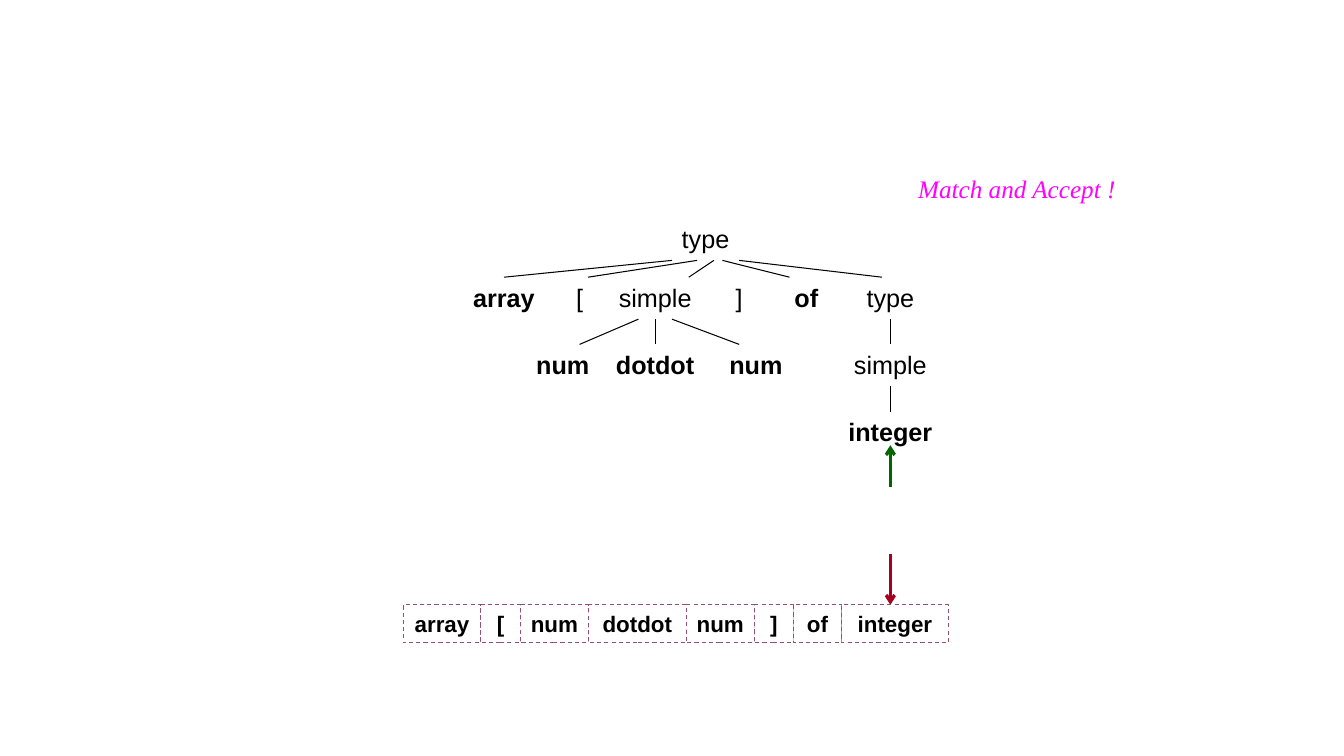
from dataclasses import dataclass
from itertools import accumulate

from lxml.etree import SubElement
from pptx import Presentation
from pptx.dml.color import RGBColor
from pptx.enum.dml import MSO_LINE_DASH_STYLE as Dash
from pptx.enum.shapes import MSO_CONNECTOR as Connector
from pptx.enum.shapes import MSO_SHAPE as Preset
from pptx.enum.text import MSO_ANCHOR as Anchor
from pptx.enum.text import MSO_AUTO_SIZE as AutoSize
from pptx.enum.text import PP_ALIGN as Align
from pptx.oxml.ns import qn
from pptx.shapes.connector import Connector as Line
from pptx.text.text import TextFrame
from pptx.util import Inches, Pt

BLACK = RGBColor(0x00, 0x00, 0x00)
WHITE = RGBColor(0xFF, 0xFF, 0xFF)
PLUM = RGBColor(0x95, 0x4F, 0x72)
CRIMSON = RGBColor(0xA5, 0x00, 0x21)
GREEN = RGBColor(0x00, 0x66, 0x00)
MAGENTA = RGBColor(0xFF, 0x00, 0xFF)

COLUMNS, ROWS = 160, 90
SLIDE_HEIGHT = Inches(7.5)
UNIT = SLIDE_HEIGHT / ROWS
TEXT_ROWS = 4.8
TOKEN_COLUMN, TOKEN_ROW, TOKEN_ROWS = 48, 72, 4.55
POINTER_COLUMN = 106


@dataclass(frozen=True)
class Style:
    size: int = 18
    font: str = "Arial"
    color: RGBColor = BLACK
    bold: bool = False
    italic: bool = False
    align: Align = Align.CENTER


@dataclass(frozen=True)
class Node:
    word: str
    center: float
    row: float
    terminal: bool = False
    width: float = 12


@dataclass(frozen=True)
class Branch:
    parent: float
    child: float
    top: float
    bottom: float


@dataclass(frozen=True)
class Token:
    word: str
    width: float


@dataclass(frozen=True)
class Pointer:
    start: float
    end: float
    color: RGBColor


NODES = [
    Node("type", 84, 26),
    Node("array", 60, 33, True),
    Node("[", 69, 33),
    Node("simple", 78, 33),
    Node("]", 88, 33),
    Node("of", 96, 33, True),
    Node("type", 106, 33),
    Node("num", 67, 41, True),
    Node("dotdot", 78, 41, True),
    Node("num", 90, 41, True),
    Node("simple", 106, 41),
    Node("integer", 106, 49, True, 14),
]
BRANCHES = [
    Branch(80, 60, 31, 33),
    Branch(83, 70, 31, 33),
    Branch(85, 82, 31, 33),
    Branch(86, 94, 31, 33),
    Branch(88, 105, 31, 33),
    Branch(76, 69, 38, 41),
    Branch(78, 78, 38, 41),
    Branch(80, 88, 38, 41),
    Branch(106, 106, 38, 41),
    Branch(106, 106, 46, 49),
]
TOKENS = [
    Token("array", 9.25),
    Token("[", 4.7),
    Token("num", 8.1),
    Token("dotdot", 11.65),
    Token("num", 8.1),
    Token("]", 4.65),
    Token("of", 5.75),
    Token("integer", 12.7),
]
INPUT_POINTER = Pointer(66, 72, CRIMSON)
TREE_POINTER = Pointer(58, 53, GREEN)


def grid(*steps: float) -> list[int]:
    return [round(step * UNIT) for step in steps]


def write(frame: TextFrame, words: str, style: Style) -> None:
    frame.word_wrap = True
    frame.auto_size = AutoSize.SHAPE_TO_FIT_TEXT
    frame.vertical_anchor = Anchor.TOP
    para = frame.paragraphs[0]
    para.text = words
    para.alignment = style.align
    font = para.font
    font.name, font.size = style.font, Pt(style.size)
    font.bold, font.italic = style.bold, style.italic
    font.color.rgb = style.color


def add_label(shapes, words: str, left: float, top: float, width: float, style: Style) -> None:
    box = shapes.add_textbox(*grid(left, top, width, TEXT_ROWS))
    write(box.text_frame, words, style)


def add_line(shapes, start: tuple, end: tuple, color: RGBColor, weight: float) -> Line:
    line = shapes.add_connector(Connector.STRAIGHT, *grid(*start, *end))
    line.line.color.rgb = color
    line.line.width = Pt(weight)
    SubElement(line.element.spPr, qn("a:effectLst"))
    return line


def add_pointer(shapes, pointer: Pointer) -> None:
    line = add_line(shapes, (POINTER_COLUMN, pointer.start), (POINTER_COLUMN, pointer.end), pointer.color, 2.25)
    SubElement(line.line._get_or_add_ln(), qn("a:tailEnd"), type="arrow")


def add_token(shapes, token: Token, left: float) -> None:
    cell = shapes.add_shape(Preset.RECTANGLE, *grid(left, TOKEN_ROW, token.width, TOKEN_ROWS))
    cell.shadow.inherit = False
    cell.fill.solid()
    cell.fill.fore_color.rgb = WHITE
    cell.line.color.rgb = PLUM
    cell.line.width = Pt(0.75)
    cell.line.dash_style = Dash.DASH
    frame = cell.text_frame
    frame.margin_left = frame.margin_right = 0
    write(frame, token.word, Style(size=16, bold=True))


def main() -> None:
    deck = Presentation()
    deck.slide_width, deck.slide_height = round(COLUMNS * UNIT), SLIDE_HEIGHT
    page = deck.slides.add_slide(deck.slide_layouts[6])

    add_pointer(page.shapes, INPUT_POINTER)
    token_strip = page.shapes.add_group_shape().shapes
    lefts = accumulate((token.width for token in TOKENS), initial=TOKEN_COLUMN)
    for token, left in zip(TOKENS, lefts):
        add_token(token_strip, token, left)

    add_pointer(page.shapes, TREE_POINTER)
    tree = page.shapes.add_group_shape().shapes
    for node in NODES:
        add_label(tree, node.word, node.center - node.width / 2, node.row, node.width, Style(bold=node.terminal))
    for branch in BRANCHES:
        add_line(tree, (branch.parent, branch.top), (branch.child, branch.bottom), BLACK, 0.75)

    verdict = Style(font="Times New Roman", color=MAGENTA, italic=True, align=Align.RIGHT)
    add_label(page.shapes, "Match and Accept !", 22, 20, 112, verdict)
    deck.save("out.pptx")


if __name__ == "__main__":
    main()
